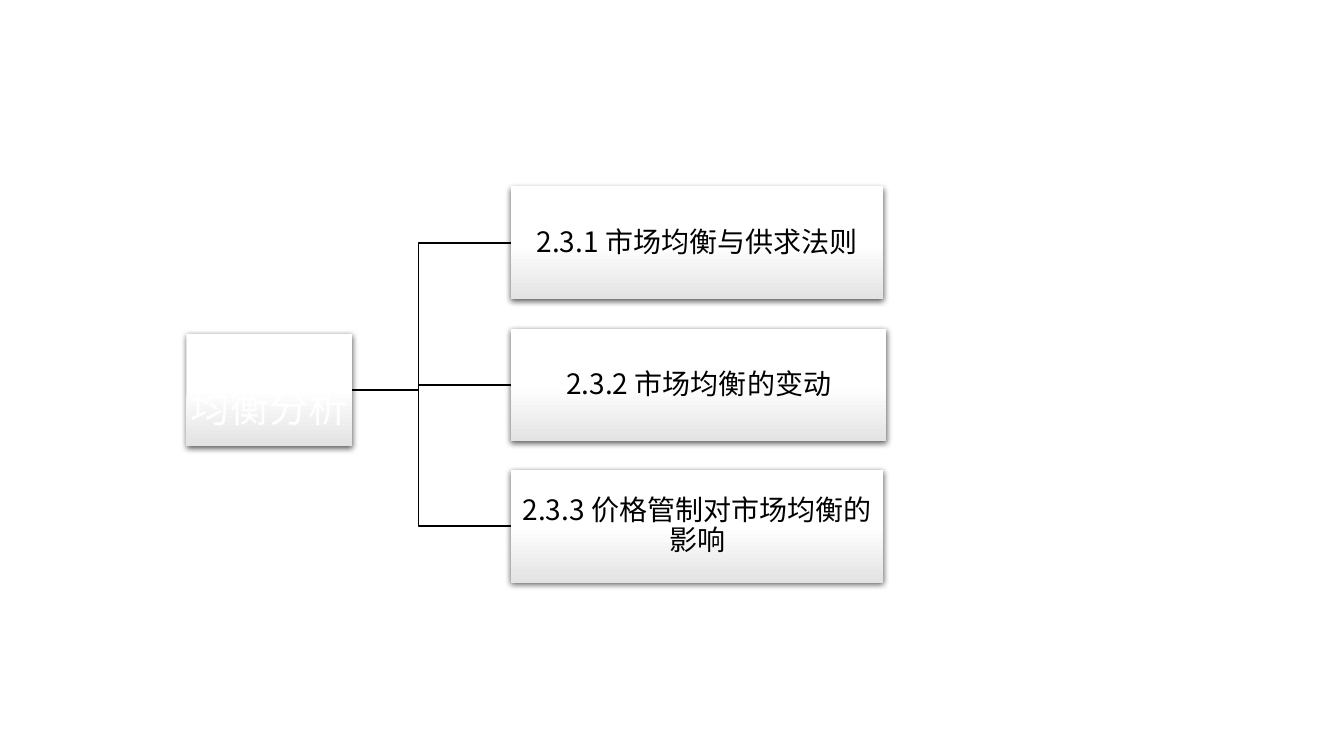
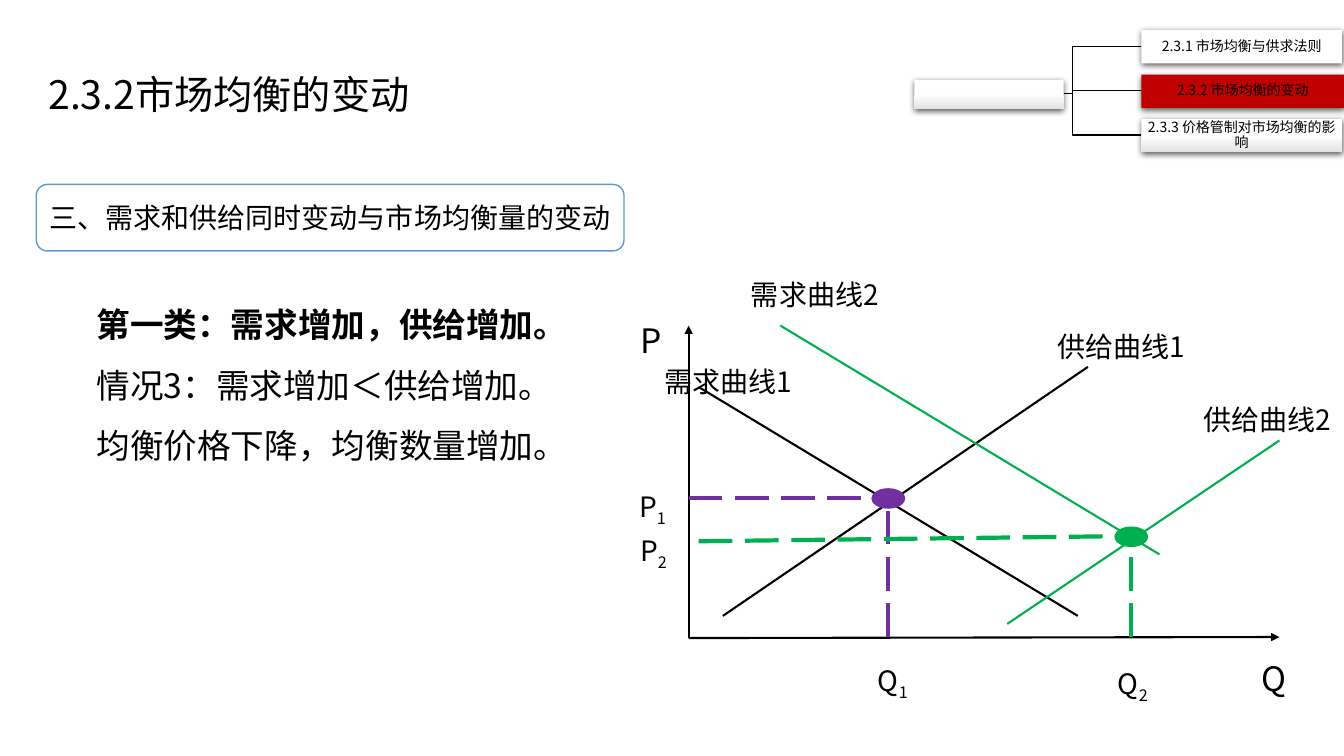
from lxml import etree
from pptx import Presentation
from pptx import util as u
from pptx.dml.color import RGBColor
from pptx.enum import dml, shapes, text
from pptx.oxml.ns import qn

PX = u.Inches(0.01)
FONT = "Noto Sans CJK SC"
BLACK = RGBColor(0x00, 0x00, 0x00)
WHITE = RGBColor(0xFF, 0xFF, 0xFF)
GREY = RGBColor(0xE3, 0xE3, 0xE3)
RED = RGBColor(0xC0, 0x00, 0x00)
BLUE = RGBColor(0x5B, 0x9B, 0xD5)
PURPLE = RGBColor(0x70, 0x30, 0xA0)
GREEN = RGBColor(0x00, 0xB0, 0x50)

SECTIONS = [
    "2.3.1 市场均衡与供求法则",
    "2.3.2 市场均衡的变动",
    "2.3.3 价格管制对市场均衡的影响",
]
CURRENT = 1


def emu(*lengths):
    return [length * PX for length in lengths]


def style_span(span, size, color=BLACK, bold=False):
    span.font.name = FONT
    span.font.size = u.Pt(size)
    span.font.bold = bold
    span.font.color.rgb = color
    east_asian = etree.SubElement(span._r.get_or_add_rPr(), qn("a:ea"))
    east_asian.set("typeface", FONT)


def style_frame(frame, size, color=BLACK, align=text.PP_ALIGN.LEFT, spacing=1.0,
                anchor=text.MSO_ANCHOR.TOP):
    frame.word_wrap = True
    frame.vertical_anchor = anchor
    for para in frame.paragraphs:
        para.alignment = align
        para.line_spacing = spacing
        for span in para.runs:
            style_span(span, size, color)


def set_insets(frame, x, y):
    frame.margin_left = frame.margin_right = x * PX
    frame.margin_top = frame.margin_bottom = y * PX


def add_text(page, box, words, size, spacing):
    frame = page.shapes.add_textbox(*emu(*box)).text_frame
    frame.text = words
    style_frame(frame, size, spacing=spacing)
    return frame


def add_panel(page, kind, box, fill, line=None):
    """Add a flat shape; a fill of None gives the white-to-grey gradient."""
    panel = page.shapes.add_shape(kind, *emu(*box))
    if fill is None:
        panel.fill.gradient()
        panel.fill.gradient_angle = 270
        for stop, color, position in zip(panel.fill.gradient_stops, (WHITE, GREY), (0.5, 1)):
            stop.color.rgb = color
            stop.position = position
    else:
        panel.fill.solid()
        panel.fill.fore_color.rgb = fill
    if line is None:
        panel.line.fill.background()
    else:
        panel.line.color.rgb = line
        panel.line.width = u.Pt(1)
    panel.shadow.inherit = False
    return panel


def add_node(page, box, fill, words="", size=10, color=BLACK):
    node = add_panel(page, shapes.MSO_SHAPE.RECTANGLE, box, fill)
    effects = node._element.spPr.find(qn("a:effectLst"))
    shadow = etree.SubElement(effects, qn("a:outerShdw"), blurRad="57150", dist="19050",
                              dir="5400000", algn="ctr", rotWithShape="0")
    shade = etree.SubElement(shadow, qn("a:srgbClr"), val=str(BLACK))
    etree.SubElement(shade, qn("a:alpha"), val="63000")
    frame = node.text_frame
    set_insets(frame, 1, 1)
    if words:
        frame.text = words
        style_frame(frame, size, color, text.PP_ALIGN.CENTER, 0.9, text.MSO_ANCHOR.MIDDLE)
    return node


def add_section_map(page, root, first_leaf, pitch, trunk, size, fills, wider):
    """Draw the root box and, linked to it, one leaf per section."""
    left, top, width, height = first_leaf
    leaf_boxes = [
        (left, round(top + pitch * index), width + (wider if index == CURRENT else 0), height)
        for index in range(len(SECTIONS))
    ]
    root_right, root_middle = root[0] + root[2], root[1] + root[3] // 2
    for box in leaf_boxes:
        leaf_middle = box[1] + height // 2
        builder = page.shapes.build_freeform(root_right, root_middle, scale=PX)
        builder.add_line_segments(
            [(trunk, root_middle), (trunk, leaf_middle), (left, leaf_middle)], close=False)
        link = builder.convert_to_shape()
        link.fill.background()
        link.line.color.rgb = BLACK
        link.line.width = u.Pt(1)
        link.shadow.inherit = False
    for box, words, fill in zip(leaf_boxes, SECTIONS, fills):
        add_node(page, box, fill, words, size)
    return root


def add_line(page, start, end, color=BLACK, width=1.5, dashed=False, arrow=False):
    line = page.shapes.add_connector(shapes.MSO_CONNECTOR.STRAIGHT, *emu(*start, *end))
    line.line.color.rgb = color
    line.line.width = u.Pt(width)
    if dashed:
        line.line.dash_style = dml.MSO_LINE.LONG_DASH
    if arrow:
        etree.SubElement(line.line._get_or_add_ln(), qn("a:tailEnd"), type="triangle")
    etree.SubElement(line._element.spPr, qn("a:effectLst"))


def add_equilibrium(page, price_mark, center, axis_y, color):
    """Mark a crossing and drop dashed guides to both axes."""
    x, y = center
    add_line(page, price_mark, (x - 16, y), color, 3, dashed=True)
    add_line(page, (x, axis_y), (x, y + 10), color, 3, dashed=True)
    add_panel(page, shapes.MSO_SHAPE.OVAL, (x - 16, y - 9, 32, 19), color, color)


def add_market_graph(page, left, top):
    def at(x, y):
        return left + x, top + y

    add_line(page, at(59, 373), at(645, 372), arrow=True)
    add_line(page, at(59, 373), at(59, 63), arrow=True)
    curves = [
        ((69, 124), (445, 351), BLACK),
        ((93, 351), (455, 104), BLACK),
        ((150, 63), (526, 290), GREEN),
        ((375, 359), (645, 177), GREEN),
    ]
    for start, end, color in curves:
        add_line(page, at(*start), at(*end), color)
    add_equilibrium(page, at(59, 234), at(257, 234), top + 372, PURPLE)
    add_equilibrium(page, at(69, 277), at(498, 272), top + 372, GREEN)

    labels = [
        ("P", "", 1, 41, 48, 24),
        ("Q", "", 617, 376, 58, 24),
        ("P", "1", 0, 209, 49, 20),
        ("P", "2", 1, 253, 49, 20),
        ("Q", "1", 237, 382, 57, 20),
        ("Q", "2", 475, 385, 57, 20),
        ("需求曲线1", "", 25, 87, 149, 20),
        ("需求曲线2", "", 111, 0, 149, 20),
        ("供给曲线1", "", 415, 52, 149, 20),
        ("供给曲线2", "", 560, 124, 149, 20),
    ]
    for words, subscript, x, y, width, size in labels:
        frame = add_text(page, (*at(x, y), width, 50), words, size, 1.3)
        if subscript:
            span = frame.paragraphs[0].add_run()
            span.text = subscript
            style_span(span, size)
            span._r.get_or_add_rPr().set("baseline", "-25000")


def add_title(page, words, box):
    title = page.shapes.title
    title.left, title.top, title.width, title.height = emu(*box)
    frame = title.text_frame
    frame.text = words
    frame.auto_size = text.MSO_AUTO_SIZE.NONE
    set_insets(frame, 12, 6)
    style_frame(frame, 28)


def add_heading(page, words, box):
    heading = add_panel(page, shapes.MSO_SHAPE.ROUNDED_RECTANGLE, box, WHITE, BLUE)
    heading.text_frame.text = words
    style_frame(heading.text_frame, 20, anchor=text.MSO_ANCHOR.MIDDLE)


def build_outline(deck):
    page = deck.slides.add_slide(deck.slide_layouts[6])
    root = add_section_map(page, root=(185, 331, 164, 112), first_leaf=(507, 185, 369, 112),
                           pitch=140.5, trunk=415, size=20, fills=(None,) * 3, wider=3)
    node = add_node(page, root, None, "均衡分析", 28, WHITE)
    node.text_frame.margin_top = 40 * PX


def build_market_change(deck):
    page = deck.slides.add_slide(deck.slide_layouts[5])
    add_title(page, "2.3.2市场均衡的变动", (36, 64, 965, 59))
    add_heading(page, "三、需求和供给同时变动与市场均衡量的变动", (36, 183, 583, 66))
    root = add_section_map(page, root=(907, 79, 148, 29), first_leaf=(1132, 30, 199, 33),
                           pitch=44, trunk=1064, size=10, fills=(WHITE, RED, None), wider=2)
    add_node(page, root, None)
    body = add_text(page, (86, 277, 506, 192),
                    "第一类：需求增加，供给增加。\n"
                    "情况3：需求增加＜供给增加。\n"
                    "均衡价格下降，均衡数量增加。", 24, 1.5)
    body.paragraphs[0].runs[0].font.bold = True
    add_market_graph(page, 624, 260)


def main():
    deck = Presentation()
    deck.slide_width, deck.slide_height = emu(1333, 750)
    build_outline(deck)
    build_market_change(deck)
    deck.save("out.pptx")


if __name__ == "__main__":
    main()
